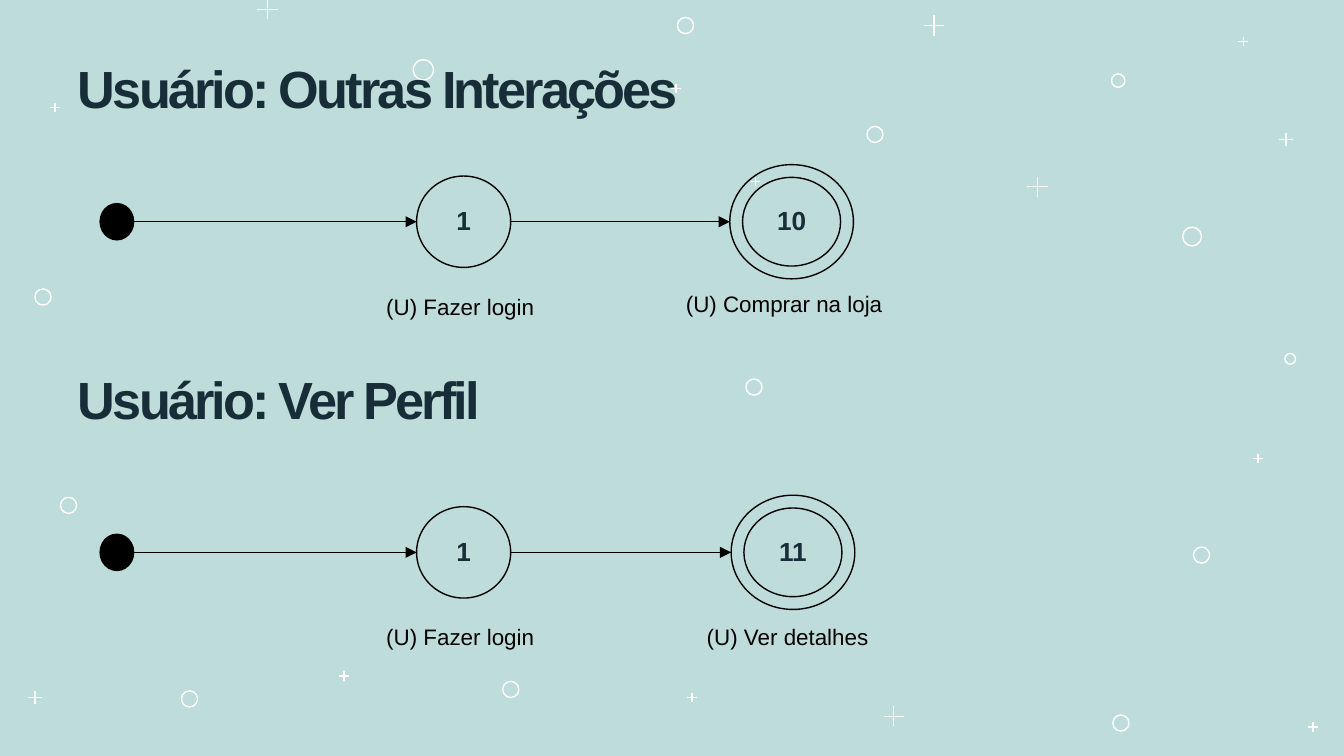
from lxml import etree
from pptx import Presentation
from pptx.dml.color import RGBColor
from pptx.enum.shapes import MSO_CONNECTOR, MSO_SHAPE
from pptx.enum.text import MSO_ANCHOR, MSO_AUTO_SIZE, PP_ALIGN
from pptx.oxml.ns import qn
from pptx.util import Inches, Pt

OVAL, DONUT = MSO_SHAPE.OVAL, MSO_SHAPE.DONUT
START_DOT = MSO_SHAPE.FLOWCHART_CONNECTOR
STRAIGHT = MSO_CONNECTOR.STRAIGHT
TOP, MIDDLE = MSO_ANCHOR.TOP, MSO_ANCHOR.MIDDLE
LEFT, CENTER = PP_ALIGN.LEFT, PP_ALIGN.CENTER
NO_FIT = MSO_AUTO_SIZE.NONE

COLORS = {"bg": "BEDCDA", "ink": "172D38", "black": "000000", "white": "FFFFFF"}
FONT = "Arial"

# Background marks: centre x, centre y, size
PLUSES = [
    (6.95, 0.19, 0.15), (7.72, 1.39, 0.15), (6.65, 5.33, 0.15), (1.99, 0.07, 0.15),
    (2.56, 5.03, 0.07), (0.41, 0.8, 0.07), (5.03, 0.66, 0.07), (5.15, 5.19, 0.07),
    (9.25, 0.31, 0.07), (5.62, 1.35, 0.07), (9.36, 3.41, 0.07), (9.77, 5.41, 0.07),
    (9.57, 1.04, 0.1), (0.26, 5.19, 0.1),
]
RINGS = [
    (8.87, 1.76, 0.14), (9.6, 2.67, 0.08), (3.15, 0.52, 0.15), (1.41, 5.2, 0.12),
    (3.8, 5.13, 0.12), (0.51, 3.76, 0.12), (5.61, 2.88, 0.12), (8.94, 4.13, 0.12),
    (6.51, 1.0, 0.12), (5.1, 0.19, 0.12), (0.32, 2.21, 0.12), (8.32, 0.6, 0.1),
    (8.34, 5.38, 0.12),
]


def rgb(name):
    return RGBColor.from_string(COLORS[name])


def add_line(s, x1, y1, x2, y2, color, arrow=False):
    line = s.shapes.add_connector(
        STRAIGHT, Inches(x1), Inches(y1), Inches(x2), Inches(y2))
    line.line.color.rgb = rgb(color)
    line.line.width = Pt(0.75)
    if arrow:
        ln = line.line._get_or_add_ln()
        etree.SubElement(ln, qn("a:tailEnd"), type="triangle")
    etree.SubElement(line._element.spPr, qn("a:effectLst"))


def add_centred(s, kind, cx, cy, w, h, color, filled=False):
    sp = s.shapes.add_shape(
        kind, Inches(cx - w / 2), Inches(cy - h / 2), Inches(w), Inches(h))
    sp.shadow.inherit = False
    if filled:
        sp.fill.solid()
        sp.fill.fore_color.rgb = rgb(color)
        sp.line.fill.background()
    else:
        sp.fill.background()
        sp.line.color.rgb = rgb(color)
        sp.line.width = Pt(0.75)
    return sp


def write(sp, text, size, color, bold=False, align=LEFT, anchor=TOP, spacing=None):
    tf = sp.text_frame
    tf.word_wrap = True
    tf.auto_size = NO_FIT
    tf.vertical_anchor = anchor
    p = tf.paragraphs[0]
    p.alignment = align
    p.line_spacing = spacing
    r = p.add_run()
    r.text = text
    p.font.name = FONT
    p.font.size = Pt(size)
    p.font.bold = bold
    p.font.color.rgb = rgb(color)
    return r


def add_background(s):
    s.background.fill.solid()
    s.background.fill.fore_color.rgb = rgb("bg")
    for x, y, size in PLUSES:
        half = size / 2
        add_line(s, x, y - half, x, y + half, "white")
        add_line(s, x - half, y, x + half, y, "white")
    for x, y, size in RINGS:
        add_centred(s, OVAL, x, y, size, size, "white")


def add_heading(sp, left, top, text):
    sp.left, sp.top = Inches(left), Inches(top)
    sp.width, sp.height = Inches(5.82), Inches(1.34)
    tf = sp.text_frame
    tf.margin_left = tf.margin_right = tf.margin_top = tf.margin_bottom = 0
    r = write(sp, text, 28, "ink", bold=True, spacing=0.95)
    r.font._element.set("spc", "-150")


def add_state(s, kind, cx, cy, w, h, number, label, label_w, label_dy=0.48):
    sp = add_centred(s, kind, cx, cy, w, h, "black")
    if kind == DONUT:
        sp.adjustments[0] = 0.112
    write(sp, number, 14, "ink", bold=True, align=CENTER, anchor=MIDDLE, spacing=0.95)
    box = s.shapes.add_textbox(
        Inches(cx - label_w / 2), Inches(cy + label_dy), Inches(label_w), Inches(0.3))
    write(box, label, 12, "black")


def add_flow(s, left, axis, number, label, label_w, label_dy, end_x):
    """Start dot, login state and final state along a horizontal axis."""
    dot_w, login_w, final_w = 0.26, 0.7, 0.92
    dot_x, login_x, final_x = left + dot_w / 2, left + 2.71, left + end_x
    add_centred(s, START_DOT, dot_x, axis, dot_w, 0.28, "black", filled=True)
    add_line(s, left + dot_w, axis, login_x - login_w / 2, axis, "black", arrow=True)
    add_state(s, OVAL, login_x, axis, login_w, 0.68, "1", "(U) Fazer login", 1.35)
    add_line(s, login_x + login_w / 2, axis, final_x - final_w / 2, axis,
             "black", arrow=True)
    add_state(s, DONUT, final_x, axis, final_w, 0.85, number, label, label_w, label_dy)


def main():
    prs = Presentation()
    prs.slide_width = Inches(10)
    prs.slide_height = prs.slide_width * 9 // 16
    s = prs.slides.add_slide(prs.slide_layouts[5])
    add_background(s)

    # Other interactions, with the title brought in front of the background
    title = s.shapes.title
    s.shapes._spTree.append(title._element)
    add_heading(title, 0.58, 0.45, "Usuário: Outras Interações")
    add_flow(s, 0.74, 1.65, "10", "(U) Comprar na loja", 1.77, 0.46, 5.15)

    # View profile
    heading = s.shapes.add_textbox(0, 0, 0, 0)
    add_heading(heading, 0.58, 2.77, "Usuário: Ver Perfil")
    add_flow(s, 0.74, 4.11, "11", "(U) Ver detalhes", 1.48, 0.48, 5.16)

    prs.save("out.pptx")


if __name__ == "__main__":
    main()
